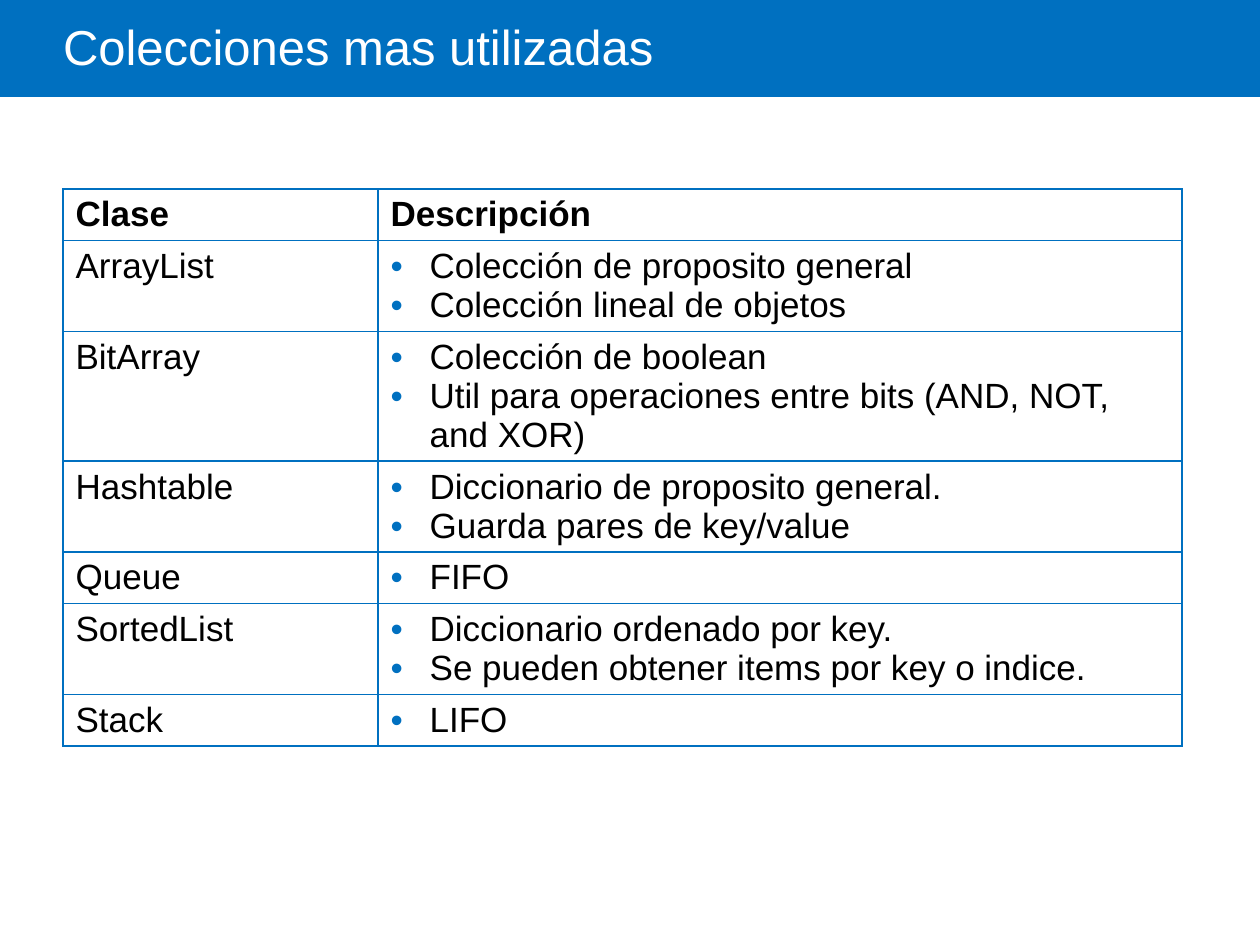
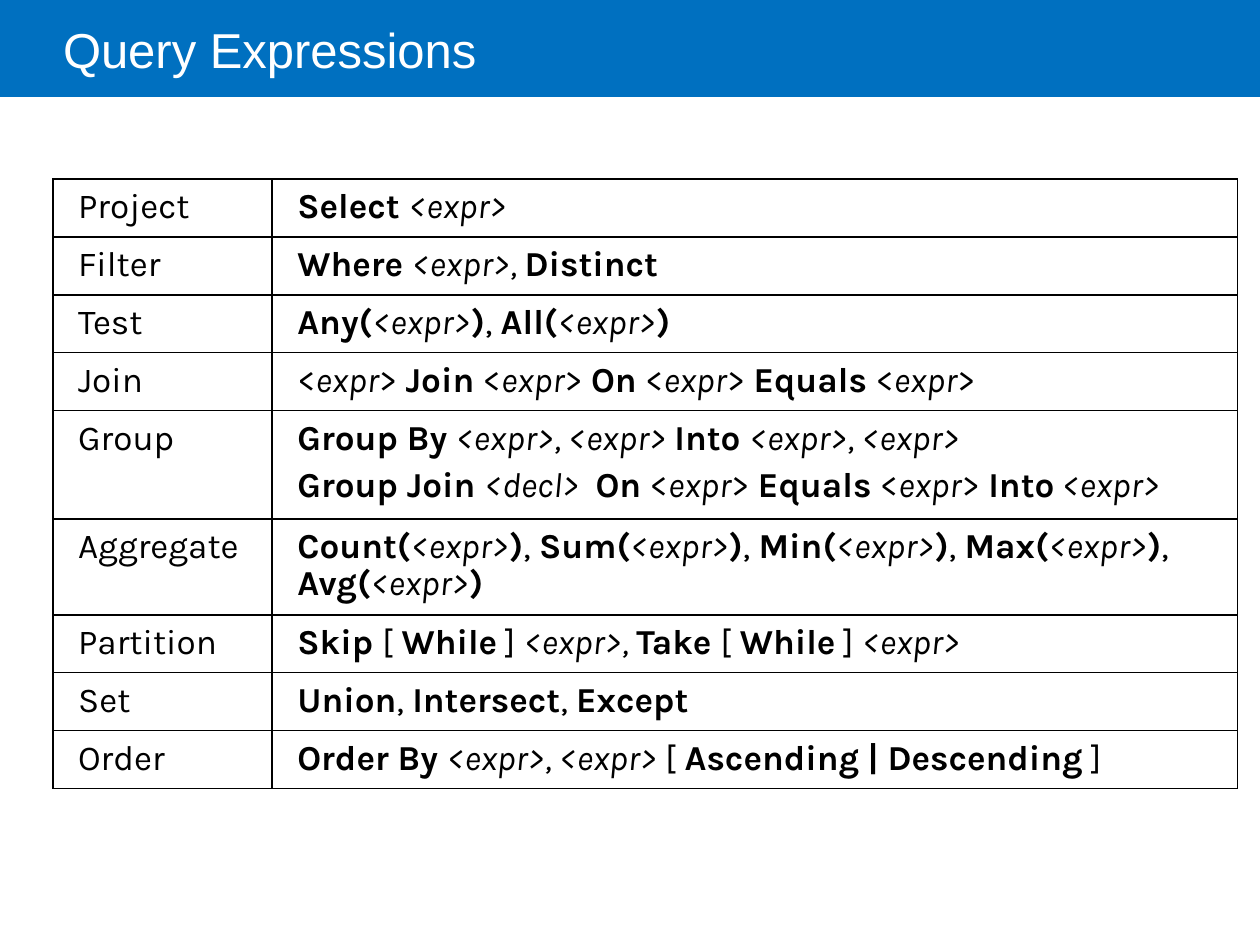
from lxml import etree
from pptx import Presentation
from pptx.dml.color import RGBColor
from pptx.enum.shapes import MSO_SHAPE as Shape
from pptx.enum.text import MSO_ANCHOR as Anchor, MSO_AUTO_SIZE as AutoSize, PP_ALIGN as Align
from pptx.oxml import parse_xml
from pptx.oxml.ns import nsdecls
from pptx.util import Inches, Pt

BLUE = RGBColor(0x00, 0x70, 0xC0)
WHITE = RGBColor(0xFF, 0xFF, 0xFF)
BLACK = RGBColor(0x00, 0x00, 0x00)
TITLE_FONT = "Arial"
QUERY_FONT = "Karla"
TITLE_ONLY = 5


def add_titled_slide(title_text, width, height):
    slide = presentation.slides.add_slide(presentation.slide_layouts[TITLE_ONLY])

    # Band, placed behind the title
    band = slide.shapes.add_shape(Shape.RECTANGLE, 0, 0, Inches(10), Inches(0.77))
    band.shadow.inherit = False
    band.fill.solid()
    band.fill.fore_color.rgb = BLUE
    band.line.fill.background()
    slide.shapes.element.insert(2, band.element)

    title = slide.shapes.title
    title.left, title.top = Inches(0.5), Inches(0)
    title.width, title.height = Inches(width), Inches(height)
    frame = title.text_frame
    frame.text = title_text
    frame.auto_size = AutoSize.NONE
    frame.word_wrap = True
    frame.vertical_anchor = Anchor.MIDDLE
    frame.margin_left, frame.margin_right = Inches(0), Inches(0.1)
    frame.margin_top = frame.margin_bottom = Inches(0.05)
    paragraph = frame.paragraphs[0]
    paragraph.alignment = Align.LEFT
    paragraph.line_spacing = 0.85
    paragraph.font.name = TITLE_FONT
    paragraph.font.size = Pt(28)
    paragraph.font.color.rgb = WHITE
    return slide


def add_grid(slide, rows, left, top, widths, heights, font_name, border, margins):
    """Each row is a label and its lines; *text* is bold and _text_ is italic."""
    table = slide.shapes.add_table(
        len(rows), 2, Inches(left), Inches(top),
        Inches(sum(widths)), Inches(sum(heights))).table
    table.first_row = table.horz_banding = False
    for column, width in zip(table.columns, widths):
        column.width = Inches(width)
    for row, height, (label, *lines) in zip(table.rows, heights, rows):
        row.height = Inches(height)
        for cell, texts in zip(row.cells, ([label], lines)):
            cell.margin_left = cell.margin_right = Inches(margins[0])
            cell.margin_top = cell.margin_bottom = Inches(margins[1])
            cell.fill.background()
            for index, side in enumerate(("lnL", "lnR", "lnT", "lnB")):
                cell._tc.get_or_add_tcPr().insert(index, parse_xml(
                    f'<a:{side} {nsdecls("a")} w="{Pt(1)}"><a:solidFill>'
                    f'<a:srgbClr val="{border}"/></a:solidFill></a:{side}>'))
            frame = cell.text_frame
            for index, text in enumerate(texts):
                paragraph = frame.add_paragraph() if index else frame.paragraphs[0]
                paragraph.font.name = font_name
                paragraph.font.size = Pt(20)
                paragraph.font.color.rgb = BLACK
                for bold_index, part in enumerate(text.split("*")):
                    for italic_index, piece in enumerate(part.split("_")):
                        if piece:
                            run = paragraph.add_run()
                            run.text = piece
                            run.font.bold = bold_index % 2 == 1
                            run.font.italic = italic_index % 2 == 1
    return table


presentation = Presentation()
presentation.slide_width, presentation.slide_height = Inches(10), Inches(7.5)

# Slide 1: collection classes
slide = add_titled_slide("Colecciones mas utilizadas", 8.5, 0.81)
collections = [
    ("*Clase*", "*Descripción*"),
    ("ArrayList", "Colección de proposito general", "Colección lineal de objetos"),
    ("BitArray", "Colección de boolean",
     "Util para operaciones entre bits (AND, NOT, and XOR)"),
    ("Hashtable", "Diccionario de proposito general.", "Guarda pares de key/value"),
    ("Queue", "FIFO"),
    ("SortedList", "Diccionario ordenado por key.",
     "Se pueden obtener items por key o indice."),
    ("Stack", "LIFO"),
]
table = add_grid(slide, collections, 0.5, 1.5, (2.5, 6.38), [0.41] * len(collections),
                 TITLE_FONT, BLUE, (0.1, 0.05))

# Blue bullets in the descriptions below the header
for row_index in range(1, len(collections)):
    for paragraph in table.cell(row_index, 1).text_frame.paragraphs:
        properties = paragraph._p.get_or_add_pPr()
        properties.set("marL", str(Inches(0.31)))
        properties.set("indent", str(-Inches(0.31)))
        bullet = etree.fromstring(
            f'<a:pPr {nsdecls("a")}><a:buClr><a:srgbClr val="{BLUE}"/></a:buClr>'
            '<a:buFont typeface="Arial"/><a:buChar char="•"/></a:pPr>')
        for index, element in enumerate(list(bullet)):
            properties.insert(index, element)

# Slide 2: query expressions
slide = add_titled_slide("Query Expressions", 9.38, 0.85)
queries = [
    ("Project", "*Select *_<expr>_"),
    ("Filter", "*Where *_<expr>, _*Distinct*"),
    ("Test", "*Any(*_<expr>_*)*, *All(*_<expr>_*)*"),
    ("Join", "<_expr_> *Join* <_expr_> *On* <_expr_> *Equals* <_expr_>"),
    ("Group", "*Group By *_<expr>, <expr> _*Into *_<expr>, <expr>_",
     "*Group Join *_<decl> _ *On* <_expr_> *Equals* <_expr_> *Into*_ <expr>_"),
    ("Aggregate", ", ".join(f"*{name}(*_<expr>_*)*"
                            for name in ("Count", "Sum", "Min", "Max", "Avg"))),
    ("Partition", "*Skip *[ *While* ] _<expr>, _*Take *[ *While* ] _<expr>_"),
    ("Set", "*Union*, *Intersect*, *Except*"),
    ("Order", "*Order By *_<expr>, <expr> _[ *Ascending | Descending* ]"),
]
heights = [0.46] * 4 + [0.86, 0.76] + [0.46] * 3
table = add_grid(slide, queries, 0.42, 1.42, (1.74, 7.66), heights,
                 QUERY_FONT, BLACK, (0.2, 0.08))
for cell in table.iter_cells():
    for paragraph in cell.text_frame.paragraphs:
        paragraph.line_spacing = 0.9
        paragraph.space_before = Pt(6)

presentation.save("out.pptx")
